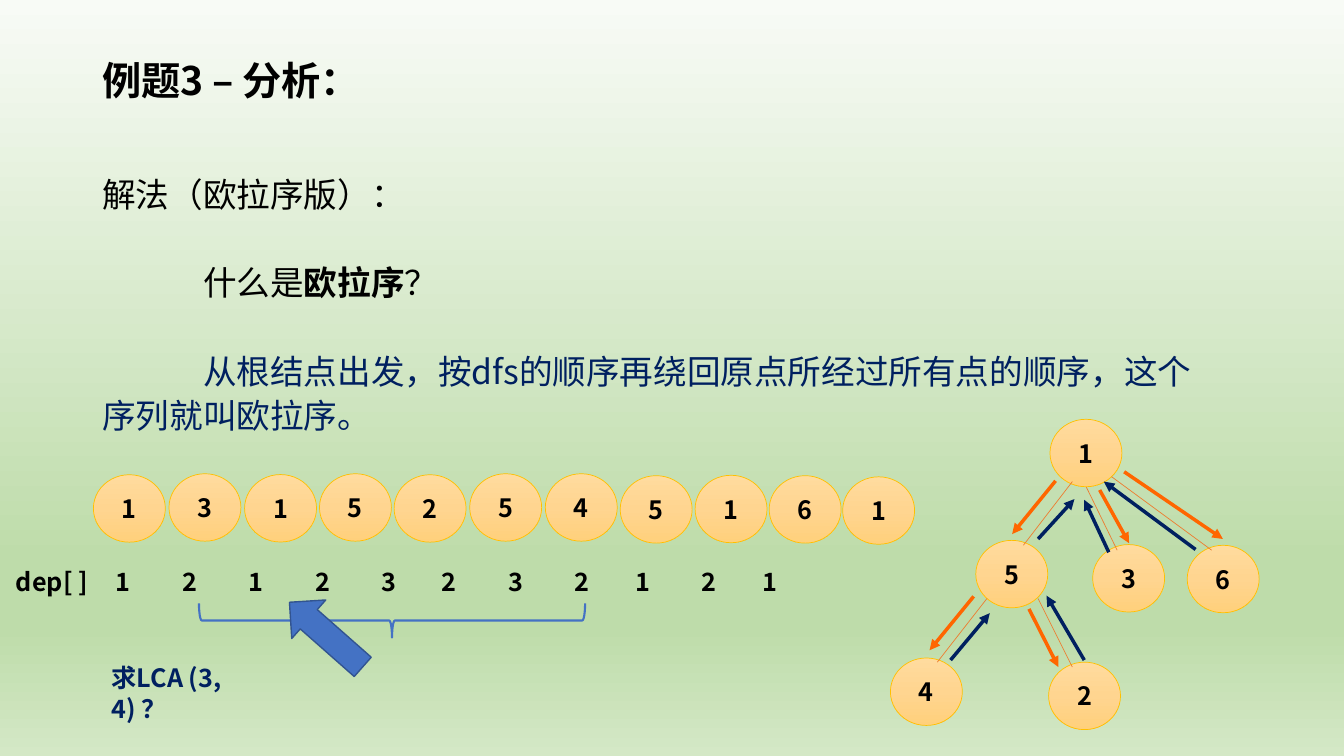
from lxml import etree
from pptx import Presentation, util as u
from pptx.dml.color import RGBColor
from pptx.enum import shapes, text
from pptx.oxml import ns, parse_xml

FONT = "Noto Sans CJK SC"
BLACK, NAVY, ORANGE, BLUE = "000000", "002060", "FF6600", "4472C4"
BACKDROP = [(0, "F8FBF6"), (74, "BEDCAA"), (83, "BEDCAA"), (100, "D4E8C6")]
AMBER = [(0, "FFDB9E"), (50, "FFD590"), (100, "FFD07C")]


def color(value):
    return RGBColor.from_string(value)


def assign(target, values):
    for name, value in values.items():
        setattr(target, name, value)


def add_xml(parent, tag, **attrs):
    return etree.SubElement(parent, ns.qn(tag), attrs)


class Deck:
    node_size = 51.4, 48.2

    def __init__(self, prs):
        self.s = prs.slides.add_slide(prs.slide_layouts[6])
        self.gradient(self.s.background.fill, self.s.element, BACKDROP)

    def gradient(self, fill, root, stops):
        fill.solid()
        fill.fore_color.rgb = color(stops[0][1])
        old = root.find(".//" + ns.qn("a:solidFill"))
        grad = parse_xml(f'<a:gradFill {ns.nsdecls("a")} rotWithShape="1"/>')
        stop_list = add_xml(grad, "a:gsLst")
        for place, value in stops:
            stop = add_xml(stop_list, "a:gs", pos=str(place * 1000))
            add_xml(stop, "a:srgbClr", val=value)
        add_xml(grad, "a:lin", ang="5400000", scaled="0")
        old.getparent().replace(old, grad)

    def paragraph(self, p, runs, size, leading, before=0, align=None, tabs=(),
                  tab_align="ctr"):
        p.line_spacing = u.Pt(leading)
        if before:
            p.space_before = u.Pt(before)
        if align is not None:
            p.alignment = align
        if tabs:
            tab_list = add_xml(p._p.get_or_add_pPr(), "a:tabLst")
            for tab in tabs:
                add_xml(tab_list, "a:tab", pos=str(u.Pt(tab)), algn=tab_align)
        for words, ink, bold in runs:
            r = p.add_run()
            r.text = words
            assign(r.font, {"size": u.Pt(size), "bold": bold, "name": FONT})
            r.font.color.rgb = color(ink)
            add_xml(r._r.get_or_add_rPr(), "a:ea", typeface=FONT)

    def text(self, box, paragraphs, size, leading, frame=None, **options):
        sp = self.s.shapes.add_textbox(*map(u.Pt, box))
        tf = sp.text_frame
        assign(tf, {"word_wrap": True, **(frame or {})})
        for i, runs in enumerate(paragraphs):
            p = tf.add_paragraph() if i else tf.paragraphs[0]
            self.paragraph(p, runs, size, leading, leading if i else 0, **options)

    def shape(self, kind, box, line, width, fill=None, rotation=0):
        sp = self.s.shapes.add_shape(kind, *map(u.Pt, box))
        sp.shadow.inherit = False
        sp.rotation = rotation
        if isinstance(fill, list):
            self.gradient(sp.fill, sp.element, fill)
        elif fill:
            sp.fill.solid()
            sp.fill.fore_color.rgb = color(fill)
        else:
            sp.fill.background()
        sp.line.color.rgb = color(line)
        sp.line.width = u.Pt(width)
        return sp

    def node(self, label, left, top):
        kind = shapes.MSO_SHAPE.FLOWCHART_CONNECTOR
        sp = self.shape(kind, (left, top, *self.node_size), "FFC000", 0.5, AMBER)
        tf = sp.text_frame
        sides = ("left", "right", "top", "bottom")
        assign(tf, {f"margin_{side}": 0 for side in sides})
        tf.vertical_anchor = text.MSO_ANCHOR.MIDDLE
        self.paragraph(tf.paragraphs[0], [(label, BLACK, True)], 18, 21.6,
                       align=text.PP_ALIGN.CENTER)

    def line(self, ends, ink, width, arrow=False):
        c = self.s.shapes.add_connector(shapes.MSO_CONNECTOR.STRAIGHT, *map(u.Pt, ends))
        c.line.color.rgb = color(ink)
        c.line.width = u.Pt(width)
        if arrow:
            add_xml(c.line._get_or_add_ln(), "a:tailEnd", type="triangle")
        add_xml(c.element.spPr, "a:effectLst")


def main():
    prs = Presentation()
    assign(prs, {"slide_width": u.Pt(960), "slide_height": u.Pt(540)})
    deck = Deck(prs)

    deck.text((66, 28.8, 828, 49.7), [[("例题3 – 分析：", BLACK, True)]], 28, 31,
              {"vertical_anchor": text.MSO_ANCHOR.BOTTOM, "margin_bottom": u.Pt(4.6)})
    deck.text((66, 117.4, 803.5, 197.3), [
        [("解法（欧拉序版）：", BLACK, False)],
        [("\t什么是", BLACK, False), ("欧拉序", BLACK, True), ("？", BLACK, False)],
        [("\t从根结点出发，按dfs的顺序再绕回原点所经过所有点的顺序，这个序列就叫欧拉序。",
          NAVY, False)],
    ], 24, 31.6, {"margin_top": u.Pt(4), "margin_right": u.Pt(10)},
        tabs=(72,), tab_align="l")

    tree_nodes = [("1", 750, 299.5), ("5", 697, 386), ("3", 780.5, 389),
                  ("2", 749, 473), ("4", 636, 470), ("6", 848, 389.5)]
    for node in tree_nodes:
        deck.node(*node)

    edges = [(766, 344, 731, 389.5), (776, 348, 798, 393), (741.5, 427.5, 766, 476.5),
             (705, 427.5, 669.5, 473), (794, 340.5, 865.5, 393)]
    descents = [(754, 343.5, 723, 381.5), (695.5, 426, 664, 464.5),
                (735, 435, 756, 476.5), (785.5, 350, 806.5, 388),
                (803, 337, 873.5, 385)]
    returns = [(741.5, 385, 767.5, 356.5), (679, 471.5, 707, 438),
               (774.5, 471.5, 747.5, 425.5), (792, 394.5, 774.5, 357),
               (854, 392.5, 788.5, 344)]
    for group, ink, width, arrow in ((edges, "ED7D31", 0.5, False),
                                     (descents, ORANGE, 2.5, True),
                                     (returns, NAVY, 2.5, True)):
        for ends in group:
            deck.line(ends, ink, width, arrow)

    tour_lefts = (66.7, 120.7, 174.7, 228.2, 281.5, 335.5, 389.5, 443, 496.5, 549.4, 601.9)
    tour_tops = (339.1, 338.4, 339, 338.4, 339.1, 338.4, 338.4, 339.8, 339.5, 339.8, 340.6)
    for node in zip("13152545161", tour_lefts, tour_tops):
        deck.node(*node)

    depth_tabs = (76.3, 124.2, 171.3, 219.2, 266.3, 309.2, 357.1, 404.2, 447.8, 494.9, 538.5)
    depths = "\t".join(["dep[ ]", *"12123232121"])
    deck.text((4.3, 401, 658, 29.5), [[(depths, BLACK, True)]], 18, 22.2,
              {"margin_top": u.Pt(2.9)}, tabs=depth_tabs)
    deck.text((72.7, 470.2, 121, 29.5), [[("求LCA (3, 4) ？", NAVY, True)]], 18, 22.2,
              {"margin_top": u.Pt(2.4)})

    deck.shape(shapes.MSO_SHAPE.LEFT_BRACE, (267.8, 305.3, 24.5, 275.8), BLUE, 1.5,
               rotation=270)
    deck.shape(shapes.MSO_SHAPE.RIGHT_ARROW, (198, 434.9, 69.8, 36.7), "325491", 1,
               BLUE, 221.4)
    prs.save("out.pptx")


if __name__ == "__main__":
    main()
